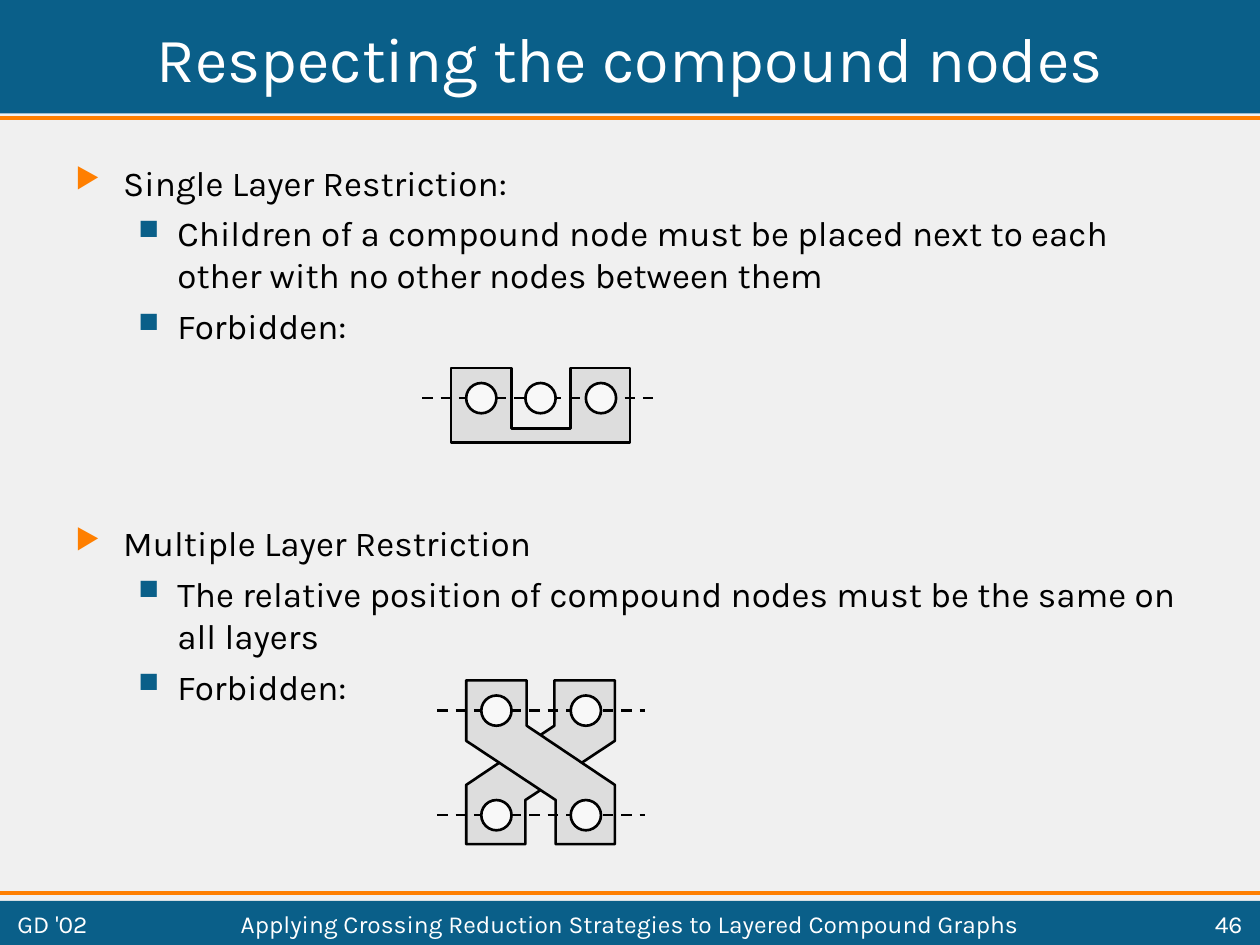
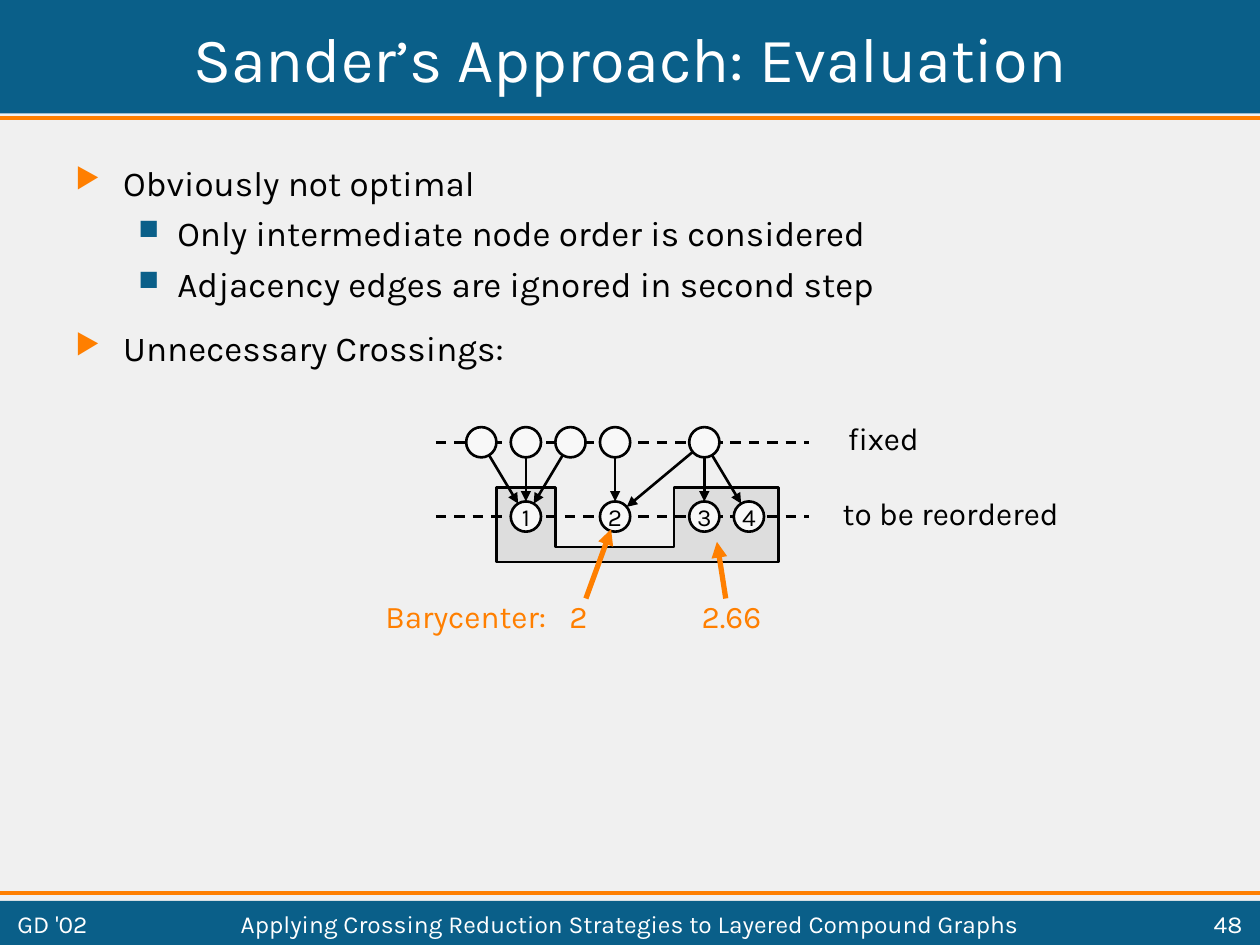
from dataclasses import dataclass
from math import hypot
from typing import Any, Optional

from lxml import etree
from pptx import Presentation
from pptx.dml.color import RGBColor
from pptx.enum.dml import MSO_LINE
from pptx.enum.shapes import MSO_CONNECTOR, MSO_SHAPE
from pptx.enum.text import MSO_ANCHOR, MSO_AUTO_SIZE, PP_ALIGN
from pptx.oxml.ns import qn
from pptx.util import Inches, Pt

# Shared look
BLUE = RGBColor(0x0A, 0x5F, 0x89)
ORANGE = RGBColor(0xFF, 0x7F, 0x00)
PAPER = RGBColor(0xF0, 0xF0, 0xF0)
COMPOUND_GRAY = RGBColor(0xDD, 0xDD, 0xDD)
NODE_WHITE = RGBColor(0xF8, 0xF8, 0xF8)
BLACK = RGBColor(0, 0, 0)
WHITE = RGBColor(0xFF, 0xFF, 0xFF)
FONT = "Karla"
LEFT, CENTER, RIGHT = PP_ALIGN.LEFT, PP_ALIGN.CENTER, PP_ALIGN.RIGHT
TOP, MIDDLE = MSO_ANCHOR.TOP, MSO_ANCHOR.MIDDLE
NO_FIT = MSO_AUTO_SIZE.NONE
RECTANGLE, ELLIPSE = MSO_SHAPE.RECTANGLE, MSO_SHAPE.OVAL
STRAIGHT, DASH = MSO_CONNECTOR.STRAIGHT, MSO_LINE.DASH
TITLE_ONLY = 5
NODE_SIZE = 0.24
OUTLINE = 1.5
TALK = "Applying Crossing Reduction Strategies to Layered Compound Graphs"

Point = tuple[float, float]


@dataclass
class Bullet:
    text: str
    level: int = 0
    space_before: Optional[float] = None


@dataclass
class Label:
    text: str
    left: float
    top: float
    width: float
    height: float = 0.4
    size: float = 18
    color: RGBColor = BLACK
    align: Any = LEFT
    anchor: Any = TOP
    wrap: bool = False


@dataclass
class LevelStyle:
    mark: str
    color: RGBColor
    margin: float
    hang: float
    space_before: float


LEVELS = [LevelStyle("▶", ORANGE, 0.38, 0.38, 12.5),
          LevelStyle("■", BLUE, 0.81, 0.31, 5)]


def set_all(target: Any, values: dict[str, Any]) -> None:
    for name, value in values.items():
        setattr(target, name, value)


def write(paragraph: Any, text: str, size: float, color: RGBColor) -> None:
    run = paragraph.add_run()
    run.text = text
    set_all(run.font, {"name": FONT, "size": Pt(size)})
    run.font.color.rgb = color


def add_label(slide: Any, label: Label) -> None:
    box = slide.shapes.add_textbox(Inches(label.left), Inches(label.top),
                                   Inches(label.width), Inches(label.height))
    set_all(box.text_frame, {"word_wrap": label.wrap, "auto_size": NO_FIT,
                             "vertical_anchor": label.anchor})
    paragraph = box.text_frame.paragraphs[0]
    paragraph.alignment = label.align
    write(paragraph, label.text, label.size, label.color)


def paint(shape: Any, fill: RGBColor, outlined: bool = True) -> None:
    shape.shadow.inherit = False
    shape.fill.solid()
    shape.fill.fore_color.rgb = fill
    if outlined:
        shape.line.color.rgb = BLACK
        shape.line.width = Pt(OUTLINE)
    else:
        shape.line.fill.background()


def add_line(slide: Any, start: Point, end: Point, color: RGBColor = BLACK,
             width: float = OUTLINE, dashed: bool = False, arrow: bool = False) -> Any:
    line = slide.shapes.add_connector(STRAIGHT, *(Inches(v) for v in start + end))
    line.line.color.rgb = color
    line.line.width = Pt(width)
    if dashed:
        line.line.dash_style = DASH
    if arrow:
        outline = line.line._get_or_add_ln()
        etree.SubElement(outline, qn("a:tailEnd"), type="triangle")
    etree.SubElement(line._element.spPr, qn("a:effectLst"))
    return line


def add_layer(slide: Any, left: float, right: float, y: float) -> None:
    add_line(slide, (left, y), (right, y), dashed=True)


def add_node(slide: Any, center: Point, number: str = "") -> None:
    left, top = (Inches(v - NODE_SIZE / 2) for v in center)
    node = slide.shapes.add_shape(ELLIPSE, left, top, Inches(NODE_SIZE), Inches(NODE_SIZE))
    paint(node, NODE_WHITE)
    if number:
        set_all(node.text_frame, {"word_wrap": False, "vertical_anchor": MIDDLE})
        paragraph = node.text_frame.paragraphs[0]
        paragraph.alignment = CENTER
        write(paragraph, number, 14, BLACK)


def add_edge(slide: Any, source: Point, target: Point) -> None:
    """Arrow from the centre of one node to the rim of another."""
    dx, dy = target[0] - source[0], target[1] - source[1]
    part = 1 - NODE_SIZE / 2 / hypot(dx, dy)
    add_line(slide, source, (source[0] + dx * part, source[1] + dy * part), arrow=True)


def add_compound(slide: Any, corners: list[Point]) -> None:
    points = [(Inches(x), Inches(y)) for x, y in corners]
    builder = slide.shapes.build_freeform(*points[0])
    builder.add_line_segments(points[1:], close=True)
    paint(builder.convert_to_shape(), COMPOUND_GRAY)


def add_bullets(slide: Any, bullets: list[Bullet]) -> None:
    box = slide.shapes.add_textbox(Inches(0.5), Inches(1.23), Inches(9), Inches(5.67))
    frame = box.text_frame
    set_all(frame, {"word_wrap": True, "auto_size": NO_FIT})
    for index, bullet in enumerate(bullets):
        style = LEVELS[bullet.level]
        paragraph = frame.add_paragraph() if index else frame.paragraphs[0]
        paragraph.level = bullet.level
        props = paragraph._p.get_or_add_pPr()
        props.set("marL", str(Inches(style.margin)))
        props.set("indent", str(-Inches(style.hang)))
        mark_color = etree.SubElement(props, qn("a:buClr"))
        etree.SubElement(mark_color, qn("a:srgbClr"), val=str(style.color))
        etree.SubElement(props, qn("a:buSzPct"), val="80000")
        etree.SubElement(props, qn("a:buChar"), char=style.mark)
        if index:
            paragraph.space_before = Pt(bullet.space_before or style.space_before)
        write(paragraph, bullet.text, 20, BLACK)


def move_bands_to_layout(slide: Any) -> None:
    """Draw the bands and rules once and keep them in the shared layout."""
    parts = []
    for top, height in ((0, 0.9), (7.15, 0.35)):
        band = slide.shapes.add_shape(RECTANGLE, 0, Inches(top), Inches(10), Inches(height))
        paint(band, BLUE, outlined=False)
        parts.append(band)
    for y in (0.94, 7.09):
        parts.append(add_line(slide, (0, y), (10, y), ORANGE, 2.25))
    tree = slide.slide_layout.shapes._spTree
    for offset, part in enumerate(parts):
        part._element.xpath("./*/p:cNvPr")[0].set("id", str(100 + offset))
        tree.insert(2 + offset, part._element)


def add_slide(prs: Any, title: str, number: str, bullets: list[Bullet]) -> Any:
    slide = prs.slides.add_slide(prs.slide_layouts[TITLE_ONLY])
    heading = slide.shapes.title
    set_all(heading, {"left": Inches(0.04), "top": Inches(0.04),
                      "width": Inches(9.92), "height": Inches(0.83)})
    set_all(heading.text_frame, {"word_wrap": True, "auto_size": NO_FIT,
                                 "vertical_anchor": MIDDLE})
    paragraph = heading.text_frame.paragraphs[0]
    paragraph.alignment = CENTER
    write(paragraph, title, 36, WHITE)
    add_bullets(slide, bullets)
    # Footer
    for text, left, width, align in (("GD '02", 0.04, 1.18, LEFT),
                                     (TALK, 1.3, 7.4, CENTER),
                                     (number, 8.78, 1.18, RIGHT)):
        add_label(slide, Label(text, left, 7.19, width, 0.28, 14, WHITE, align, MIDDLE, True))
    return slide


def build_restrictions(prs: Any) -> Any:
    slide = add_slide(prs, "Respecting the compound nodes", "46", [
        Bullet("Single Layer Restriction:"),
        Bullet("Children of a compound node must be placed next to each other "
               "with no other nodes between them", 1),
        Bullet("Forbidden:", 1),
        Bullet("Multiple Layer Restriction", 0, 100),
        Bullet("The relative position of compound nodes must be the same on all layers", 1),
        Bullet("Forbidden:", 1),
    ])
    # Foreign node between two children
    add_compound(slide, [(3.58, 2.92), (4.06, 2.92), (4.06, 3.4), (4.53, 3.4),
                         (4.53, 2.92), (5, 2.92), (5, 3.51), (3.58, 3.51)])
    add_layer(slide, 3.35, 5.24, 3.16)
    for x in (3.82, 4.29, 4.77):
        add_node(slide, (x, 3.16))

    # Two compound nodes that swap sides; the rear one mirrors the front one
    front = [(3.7, 5.4), (4.18, 5.4), (4.18, 5.76), (4.88, 6.23),
             (4.88, 6.7), (4.41, 6.7), (4.41, 6.35), (3.7, 5.88)]
    add_compound(slide, [(2 * 4.29 - x, y) for x, y in front])
    add_compound(slide, front)
    for y in (5.64, 6.47):
        add_layer(slide, 3.47, 5.12, y)
        for x in (3.94, 4.65):
            add_node(slide, (x, y))
    return slide


def build_evaluation(prs: Any) -> None:
    slide = add_slide(prs, "Sander’s Approach: Evaluation", "48", [
        Bullet("Obviously not optimal"),
        Bullet("Only intermediate node order is considered", 1),
        Bullet("Adjacency edges are ignored in second step", 1),
        Bullet("Unnecessary Crossings:"),
    ])
    add_compound(slide, [(3.94, 3.87), (3.94, 4.46), (6.18, 4.46), (6.18, 3.87),
                         (5.35, 3.87), (5.35, 4.34), (4.41, 4.34), (4.41, 3.87)])

    # Both layers share evenly spaced columns
    columns = [3.82 + 1.77 * i / 5 for i in range(7)]
    fixed_y, free_y = 3.51, 4.1
    for y in (fixed_y, free_y):
        add_layer(slide, 3.46, 6.42, y)
    for source, target in ((0, 1), (1, 1), (2, 1), (3, 3), (5, 3), (5, 5), (5, 6)):
        add_edge(slide, (columns[source], fixed_y), (columns[target], free_y))
    for column in (0, 1, 2, 3, 5):
        add_node(slide, (columns[column], fixed_y))
    for number, column in enumerate((1, 3, 5, 6), start=1):
        add_node(slide, (columns[column], free_y), str(number))

    # Layer names and barycenter values
    for label in (Label("fixed", 6.63, 3.28, 0.78),
                  Label("to be reordered", 6.59, 3.87, 2.06),
                  Label("Barycenter:", 2.96, 4.69, 1.55, color=ORANGE),
                  Label("2", 4.42, 4.69, 0.34, color=ORANGE),
                  Label("2.66", 5.47, 4.69, 0.69, color=ORANGE)):
        add_label(slide, label)
    for start, end in (((4.65, 4.75), (4.85, 4.2)), ((5.76, 4.75), (5.69, 4.3))):
        add_line(slide, start, end, ORANGE, 3, arrow=True)


def main() -> None:
    prs = Presentation()
    prs.slide_width, prs.slide_height = Inches(10), Inches(7.5)
    background = prs.slide_master.background.fill
    background.solid()
    background.fore_color.rgb = PAPER
    move_bands_to_layout(build_restrictions(prs))
    build_evaluation(prs)
    prs.save("out.pptx")


if __name__ == "__main__":
    main()
